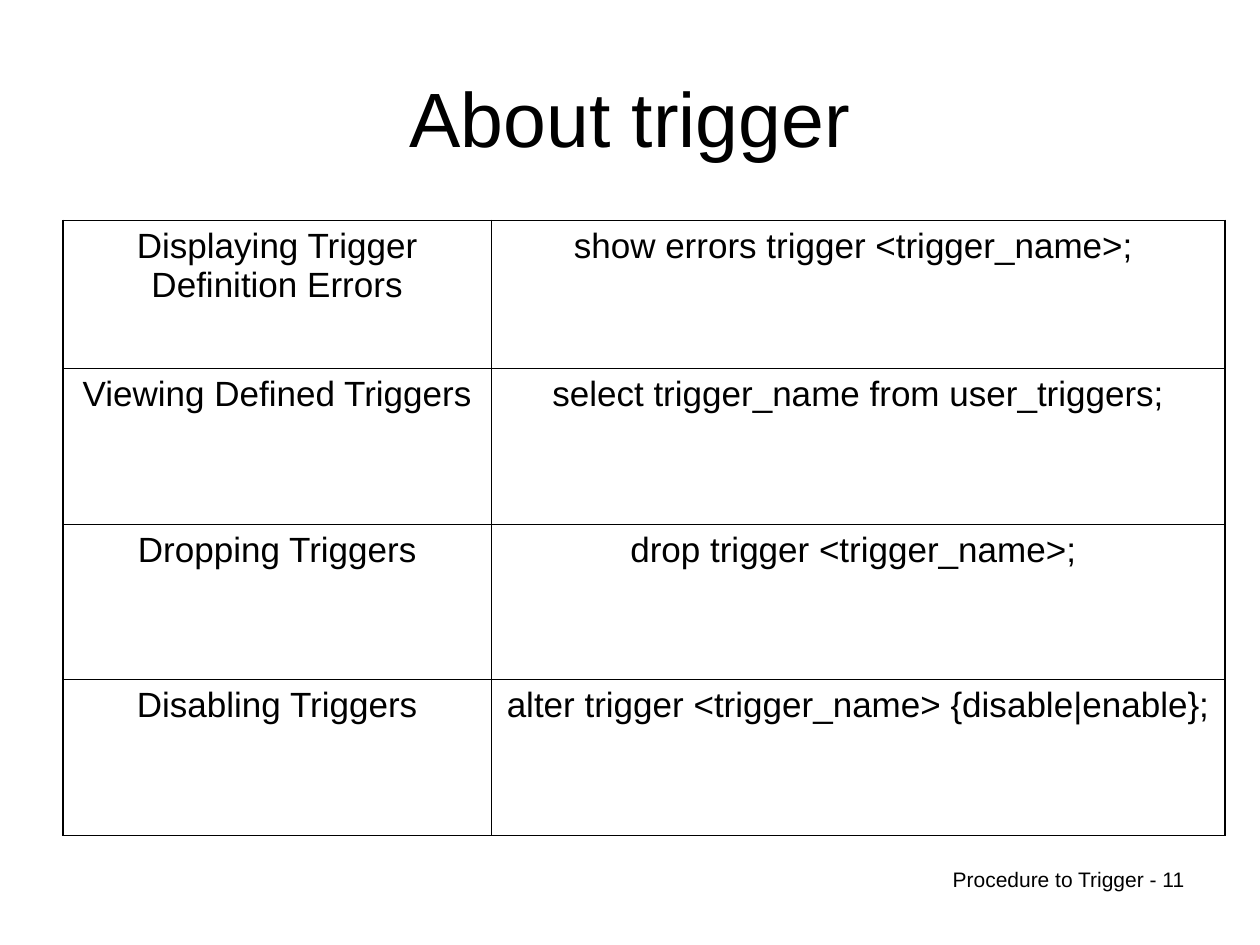
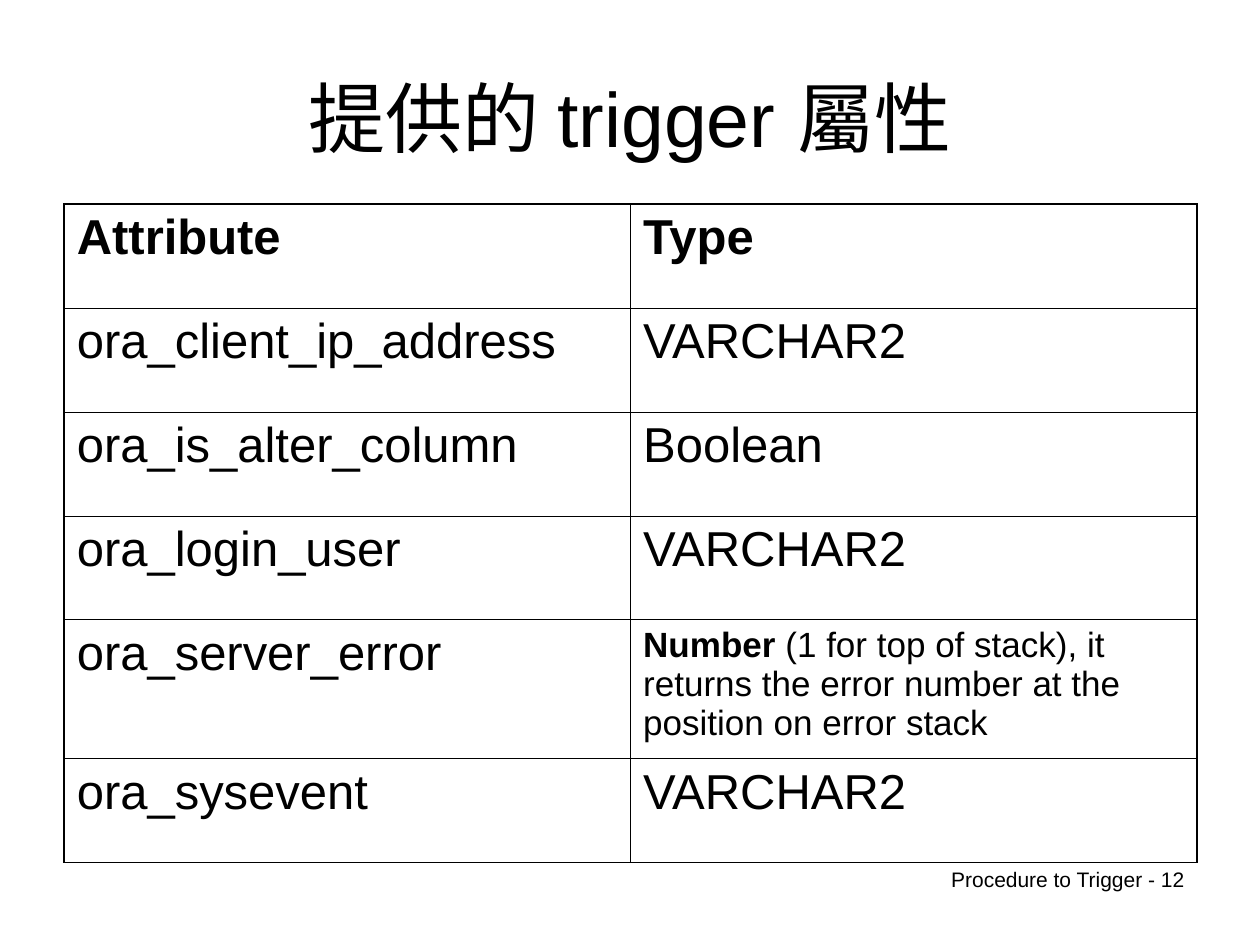
from pptx import Presentation
from pptx.dml.color import RGBColor
from pptx.enum.text import MSO_ANCHOR as Anchor, PP_ALIGN as Align
from pptx.util import Inches, Pt
from lxml.etree import SubElement
from pptx.oxml.ns import qn

SLIDE_W, SLIDE_H = Inches(10), Inches(7.5)
FONT = "Arial"
INK, PAPER = "000000", "FFFFFF"
OUTER_RULE, INNER_RULE = 1.08, 0.45
TITLE_AREA = (5, 4, 90, 16.67)
FOOTER_AREA = (71.7, 91.07, 23.3, 6.93)

COMMANDS = [
    ("Displaying Trigger Definition Errors", "show errors trigger <trigger_name>; "),
    ("Viewing Defined Triggers", " select trigger_name from user_triggers; "),
    ("Dropping Triggers", "drop trigger <trigger_name>; "),
    ("Disabling Triggers", "alter trigger <trigger_name> {disable|enable}; "),
]
ERROR_TYPE = [
    ("Number", 20, True),
    (" (1 for top of stack), it returns the error number at the position on error stack", 20, False),
]
ATTRIBUTES = [
    ("ora_client_ip_address", "VARCHAR2"),
    ("ora_is_alter_column", "Boolean"),
    ("ora_login_user", "VARCHAR2"),
    ("ora_server_error", ERROR_TYPE),
    ("ora_sysevent", "VARCHAR2"),
]


def colour(hex_code):
    """Turn a hex string into a colour."""
    return RGBColor.from_string(hex_code)


def across(percent):
    """Length as a percentage of the slide width."""
    return round(SLIDE_W * percent / 100)


def down(percent):
    """Length as a percentage of the slide height."""
    return round(SLIDE_H * percent / 100)


def area(left, top, width, height):
    """Left, top, width and height from percentages of the slide."""
    return across(left), down(top), across(width), down(height)


def write(frame, runs, align):
    """Write (text, size, bold) runs into the first paragraph of a frame."""
    paragraph = frame.paragraphs[0]
    paragraph.alignment = align
    for text, size, bold in runs:
        run = paragraph.add_run()
        run.text = text
        run.font.name = FONT
        run.font.size = Pt(size)
        run.font.bold = bold
        run.font.color.rgb = colour(INK)


def add_page(deck, title, number):
    """Add a slide with its title and numbered footer."""
    slide = deck.slides.add_slide(deck.slide_layouts[5])
    heading = slide.shapes.title
    heading.left, heading.top, heading.width, heading.height = area(*TITLE_AREA)
    heading.text_frame.vertical_anchor = Anchor.MIDDLE
    write(heading.text_frame, [(title, 44, False)], Align.CENTER)
    footer = slide.shapes.add_textbox(*area(*FOOTER_AREA)).text_frame
    footer.word_wrap = True
    write(footer, [(f"Procedure to Trigger - {number}", 12, False)], Align.RIGHT)
    return slide


def rule_cell(cell, outer_sides):
    """Draw the four borders of a cell, heavier on the outer sides."""
    properties = cell._tc.get_or_add_tcPr()
    for side in "LRTB":
        weight = OUTER_RULE if side in outer_sides else INNER_RULE
        border = SubElement(properties, qn(f"a:ln{side}"), w=str(Pt(weight)))
        fill = SubElement(border, qn("a:solidFill"))
        SubElement(fill, qn("a:srgbClr"), val=INK)


def outer_sides(row, column, row_count, column_count):
    """Name the sides of a cell that lie on the table's edge."""
    edges = {"L": column == 0, "R": column == column_count - 1,
             "T": row == 0, "B": row == row_count - 1}
    return [side for side, is_edge in edges.items() if is_edge]


def add_grid(slide, left, top, widths, heights, rows, align):
    """Add a ruled table whose cells hold lists of runs."""
    place = area(left, top, sum(widths), sum(heights))
    table = slide.shapes.add_table(len(heights), len(widths), *place).table
    table.first_row = table.horz_banding = False
    for column, width in zip(table.columns, widths):
        column.width = across(width)
    for row, height in zip(table.rows, heights):
        row.height = down(height)
    for r, entries in enumerate(rows):
        for c, runs in enumerate(entries):
            cell = table.cell(r, c)
            rule_cell(cell, outer_sides(r, c, len(heights), len(widths)))
            cell.fill.solid()
            cell.fill.fore_color.rgb = colour(PAPER)
            write(cell.text_frame, runs, align)


def styled(rows, size, bold=False):
    """Give plain entries one style and keep entries that are runs already."""
    return [[[(entry, size, bold)] if isinstance(entry, str) else entry
             for entry in row] for row in rows]


def main():
    """Build the two trigger slides."""
    deck = Presentation()
    deck.slide_width, deck.slide_height = SLIDE_W, SLIDE_H

    about = add_page(deck, "About trigger", 11)
    add_grid(about, 5, 23.33, [34, 58.25], [15.67] + [16.47] * 3,
             styled(COMMANDS, 20), Align.CENTER)

    attributes = add_page(deck, "提供的 trigger 屬性", 12)
    add_grid(attributes, 5.1, 21.6, [44.95] * 2, [11] * 4 + [14.67, 11],
             styled([("Attribute", "Type")], 28, True) + styled(ATTRIBUTES, 28),
             Align.LEFT)

    deck.save("out.pptx")


if __name__ == "__main__":
    main()
